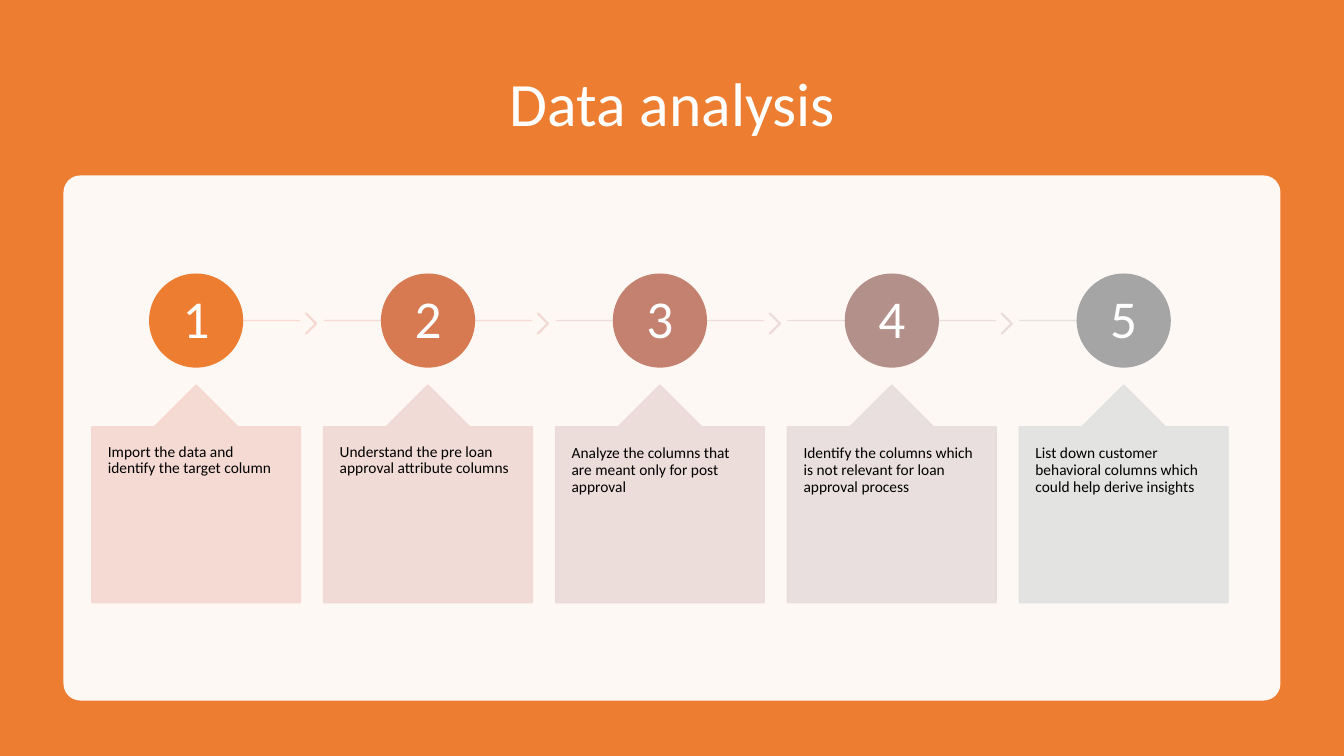
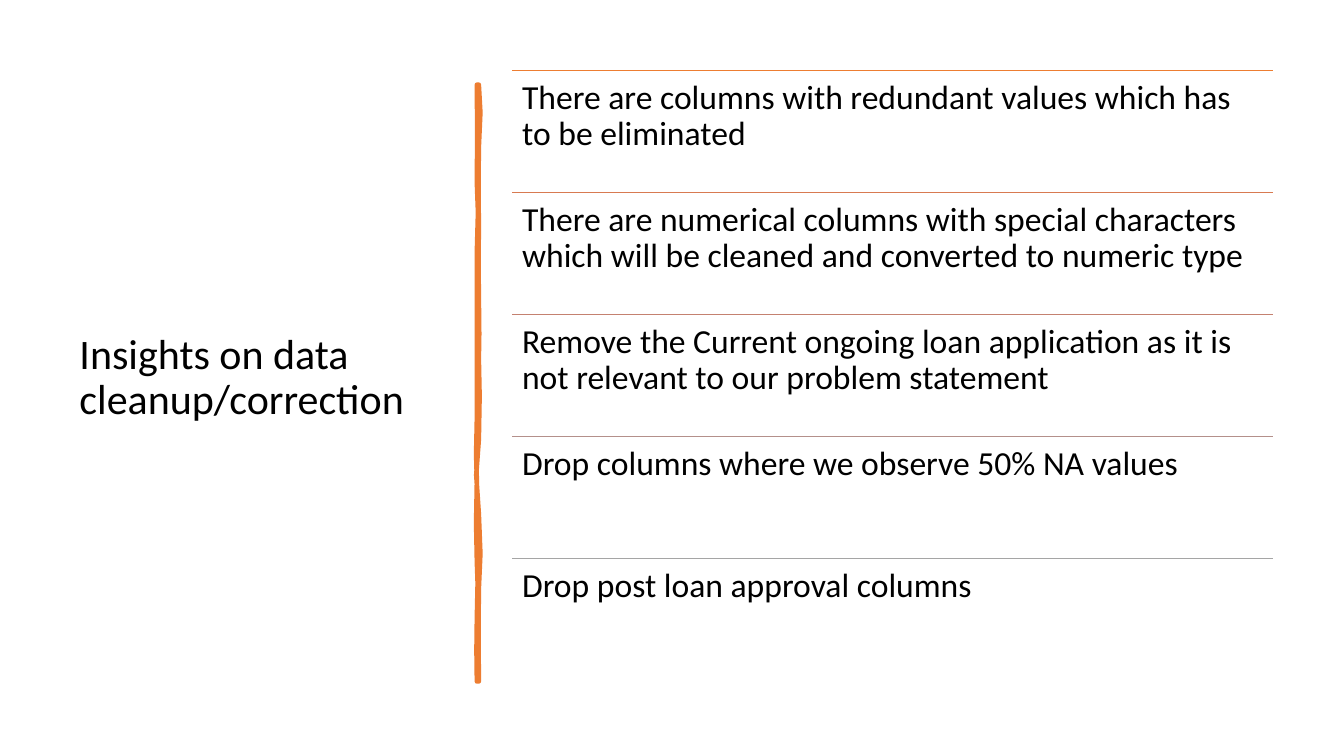
from dataclasses import dataclass

from lxml.etree import SubElement
from pptx import Presentation
from pptx.dml.color import RGBColor
from pptx.enum.shapes import MSO_CONNECTOR as Line, MSO_SHAPE as Preset
from pptx.enum.text import MSO_ANCHOR as Anchor, PP_ALIGN as Align
from pptx.oxml.ns import qn
from pptx.util import Inches, Pt

FONT = "Calibri"
COLORS = {
    "white": "FFFFFF", "black": "000000", "orange": "ED7D31",
    "accent1": "ED7D31", "accent2": "D87A51", "accent3": "C48170",
    "accent4": "B4908B", "accent5": "A5A5A5",
    "rail1": "F8D7CE", "rail2": "F3D8D1", "rail3": "EED9D5",
    "rail4": "E9DBDA", "rail5": "E4DEDE",
    "chevron1": "F6D7CF", "chevron2": "F2D8D3", "chevron3": "EDD9D7",
    "chevron4": "E8DCDB",
    "card1": "F5D7D0", "card2": "F0D8D4", "card3": "EBDAD8",
    "card4": "E6DDDC", "card5": "E1E1E1",
}


@dataclass(frozen=True)
class Box:
    left: float
    top: float
    width: float
    height: float

    def emu(self) -> list:
        return [Inches(v) for v in (self.left, self.top, self.width, self.height)]


@dataclass(frozen=True)
class TextStyle:
    size: float
    color: str = "black"
    align: Align = Align.LEFT
    anchor: Anchor = Anchor.TOP
    inset_x: float = 0.1
    inset_y: float = 0.1


BANNER_TITLE = TextStyle(44, "white", Align.CENTER, Anchor.MIDDLE, inset_y=0.05)
SIDE_TITLE = TextStyle(30, anchor=Anchor.MIDDLE, inset_y=0.05)
NUMBER = TextStyle(38, "white", Align.CENTER, Anchor.MIDDLE, 0.04, 0.04)
CARD_TEXT = TextStyle(11, inset_x=0.16, inset_y=0.18)
INSIGHT_TEXT = TextStyle(24)

STEPS = [
    "Import the data and identify the target column",
    "Understand the pre loan approval attribute columns",
    "Analyze the columns that are meant only for post approval",
    "Identify the columns which is not relevant for loan approval process",
    "List down customer behavioral columns which could help derive insights",
]
INSIGHTS = [
    "There are columns with redundant values which has to be eliminated",
    "There are numerical columns with special characters which will be "
    "cleaned and converted to numeric type",
    "Remove the Current ongoing loan application as it is not relevant to "
    "our problem statement",
    "Drop columns where we observe 50% NA values",
    "Drop post loan approval columns",
]

BRUSH_START = (4.75, 0.84)
BRUSH_CURVES = [
    (4.77, 1.02, 4.77, 1.19, 4.75, 1.46),
    (4.73, 1.73, 4.76, 1.95, 4.75, 2.26),
    (4.74, 2.57, 4.75, 2.62, 4.75, 2.94),
    (4.74, 3.25, 4.77, 3.42, 4.75, 3.56),
    (4.73, 3.70, 4.79, 4.14, 4.75, 4.36),
    (4.71, 4.57, 4.72, 4.84, 4.75, 5.10),
    (4.77, 5.36, 4.77, 5.64, 4.75, 5.84),
    (4.73, 6.03, 4.76, 6.50, 4.75, 6.76),
    (4.74, 6.76, 4.73, 6.76, 4.73, 6.76),
    (4.74, 6.46, 4.71, 6.44, 4.73, 6.13),
    (4.74, 5.83, 4.74, 5.70, 4.73, 5.57),
    (4.72, 5.44, 4.72, 4.95, 4.73, 4.77),
    (4.73, 4.59, 4.71, 4.45, 4.73, 4.15),
    (4.74, 3.86, 4.72, 3.73, 4.73, 3.35),
    (4.74, 2.98, 4.72, 2.81, 4.73, 2.50),
    (4.74, 2.18, 4.75, 2.00, 4.73, 1.81),
    (4.70, 1.63, 4.77, 1.04, 4.73, 0.84),
]


def rgb(name: str) -> RGBColor:
    return RGBColor.from_string(COLORS[name])


def set_alpha(element, percent: int) -> None:
    for color in element.iter(qn("a:srgbClr")):
        SubElement(color, qn("a:alpha"), val=str(percent * 1000))


def add_text(slide, box: Box, text: str, style: TextStyle) -> None:
    frame = slide.shapes.add_textbox(*box.emu()).text_frame
    frame.text = text
    frame.word_wrap = True
    frame.vertical_anchor = style.anchor
    frame.margin_left = frame.margin_right = Inches(style.inset_x)
    frame.margin_top = frame.margin_bottom = Inches(style.inset_y)
    for paragraph in frame.paragraphs:
        paragraph.alignment = style.align
        paragraph.line_spacing = 0.9
        for run in paragraph.runs:
            run.font.name = FONT
            run.font.size = Pt(style.size)
            run.font.color.rgb = rgb(style.color)


def paint(shape, color: str, outline: float = 0, alpha: int = 100) -> None:
    shape.shadow.inherit = False
    shape.fill.solid()
    shape.fill.fore_color.rgb = rgb(color)
    if outline:
        shape.line.color.rgb = rgb(color)
        shape.line.width = Pt(outline)
    else:
        shape.line.fill.background()
    if alpha < 100:
        set_alpha(shape.element.spPr, alpha)


def add_preset(slide, preset: Preset, box: Box, color: str, outline: float = 0,
               alpha: int = 100, adjust: tuple = ()) -> None:
    shape = slide.shapes.add_shape(preset, *box.emu())
    for index, value in enumerate(adjust):
        shape.adjustments[index] = value
    paint(shape, color, outline, alpha)


def add_rule(slide, left: float, right: float, y: float, color: str,
             alpha: int = 100) -> None:
    rule = slide.shapes.add_connector(
        Line.STRAIGHT, Inches(left), Inches(y), Inches(right), Inches(y))
    rule.line.color.rgb = rgb(color)
    rule.line.width = Pt(1)
    properties = rule.element.spPr
    if alpha < 100:
        set_alpha(properties, alpha)
    SubElement(properties, qn("a:effectLst"))


def add_brush_stroke(slide) -> None:
    points = []
    x0, y0 = BRUSH_START
    for x1, y1, x2, y2, x3, y3 in BRUSH_CURVES:
        middle = ((x0 + 3 * x1 + 3 * x2 + x3) / 8, (y0 + 3 * y1 + 3 * y2 + y3) / 8)
        points += [middle, (x3, y3)]
        x0, y0 = x3, y3
    builder = slide.shapes.build_freeform(*(Inches(v) for v in BRUSH_START))
    builder.add_line_segments([(Inches(x), Inches(y)) for x, y in points], close=True)
    stroke = builder.convert_to_shape()
    paint(stroke, "orange", 3.25)
    SubElement(stroke.element.spPr.find(qn("a:ln")), qn("a:round"))


def add_step(slide, index: int, text: str) -> None:
    card_width, pitch, circle, label, rail_y = 2.07, 2.3, 0.92, 0.65, 3.18
    number = index + 1
    left = 0.91 + index * pitch
    center = left + card_width / 2
    is_first, is_last = index == 0, number == len(STEPS)
    add_rule(slide, center if is_first else left,
             center if is_last else left + card_width,
             rail_y, f"rail{number}", alpha=90)
    if not is_last:
        add_preset(slide, Preset.CHEVRON, Box(left + 2.12, 3.11, 0.11, 0.2),
                   f"chevron{number}", 1, 90, (0.9,))
    add_preset(slide, Preset.OVAL,
               Box(center - circle / 2, 2.72, circle, circle),
               f"accent{number}", 1)
    add_text(slide, Box(center - label / 2, 2.86, label, label), str(number), NUMBER)
    add_preset(slide, Preset.UP_ARROW_CALLOUT, Box(left, 3.82, card_width, 2.16),
               f"card{number}", 1, 90, (0.5, 0.2, 0.2, 1))
    add_text(slide, Box(left, 4.24, card_width, 1.74), text, CARD_TEXT)


def build_analysis(slide) -> None:
    add_preset(slide, Preset.RECTANGLE, Box(0, 0, 13.33, 7.5), "orange")
    add_text(slide, Box(0.92, 0.5, 11.5, 1.11), "Data analysis", BANNER_TITLE)
    add_preset(slide, Preset.ROUNDED_RECTANGLE, Box(0.63, 1.74, 12.07, 5.21),
               "white", alpha=95, adjust=(0.032,))
    for index, text in enumerate(STEPS):
        add_step(slide, index, text)


def build_insights(slide) -> None:
    left, width, row_height = 5.08, 7.55, 1.21
    add_text(slide, Box(0.69, 0.7, 3.74, 6.11),
             "Insights on data cleanup/correction", SIDE_TITLE)
    add_brush_stroke(slide)
    for index, text in enumerate(INSIGHTS):
        top = 0.7 + index * row_height
        add_rule(slide, left, left + width, top, f"accent{index + 1}")
        add_text(slide, Box(left, top, width, row_height), text, INSIGHT_TEXT)


def main() -> None:
    deck = Presentation()
    deck.slide_width = Inches(13.33)
    deck.slide_height = Inches(7.5)
    blank = deck.slide_layouts[6]
    for build in (build_analysis, build_insights):
        build(deck.slides.add_slide(blank))
    deck.save("out.pptx")


if __name__ == "__main__":
    main()
